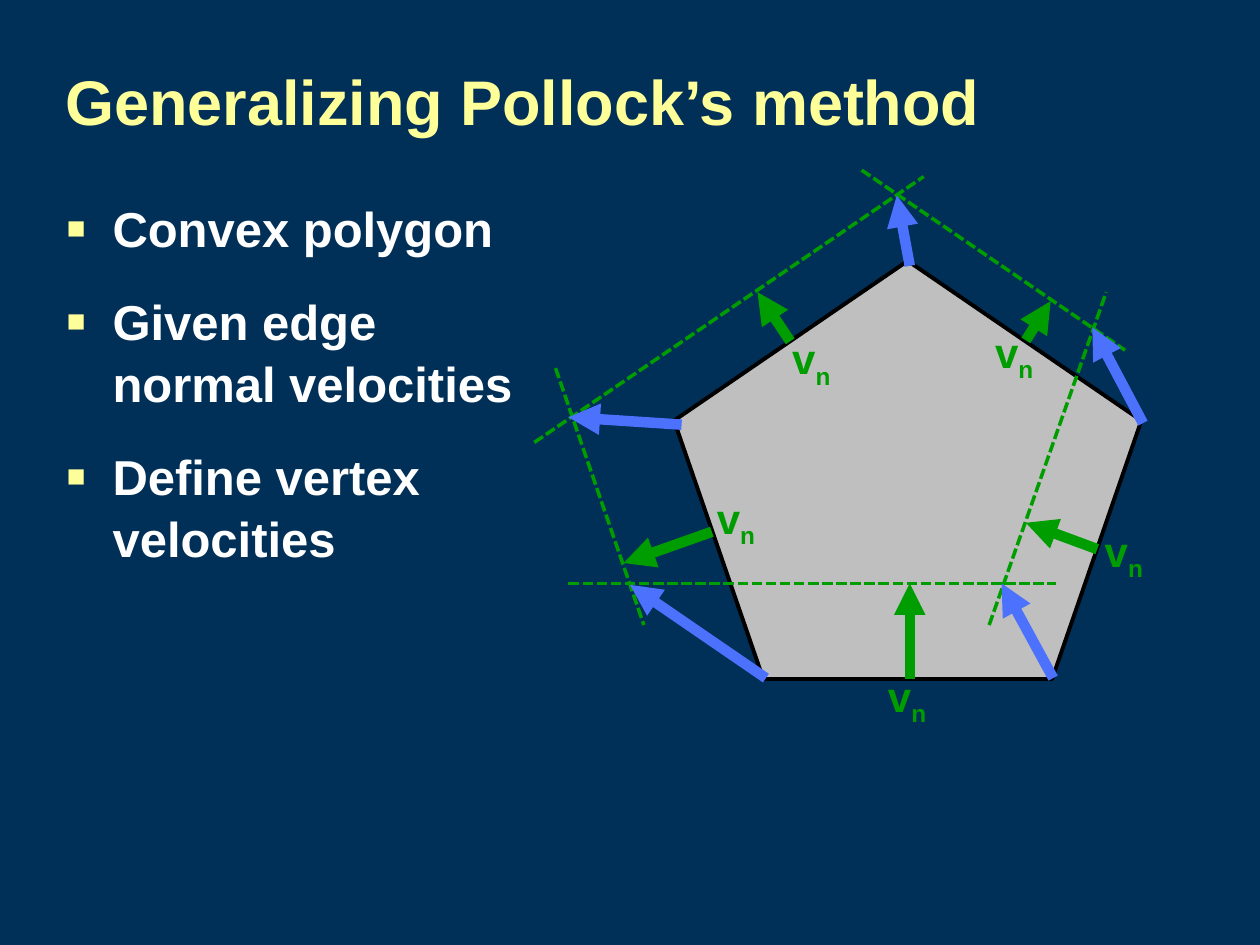
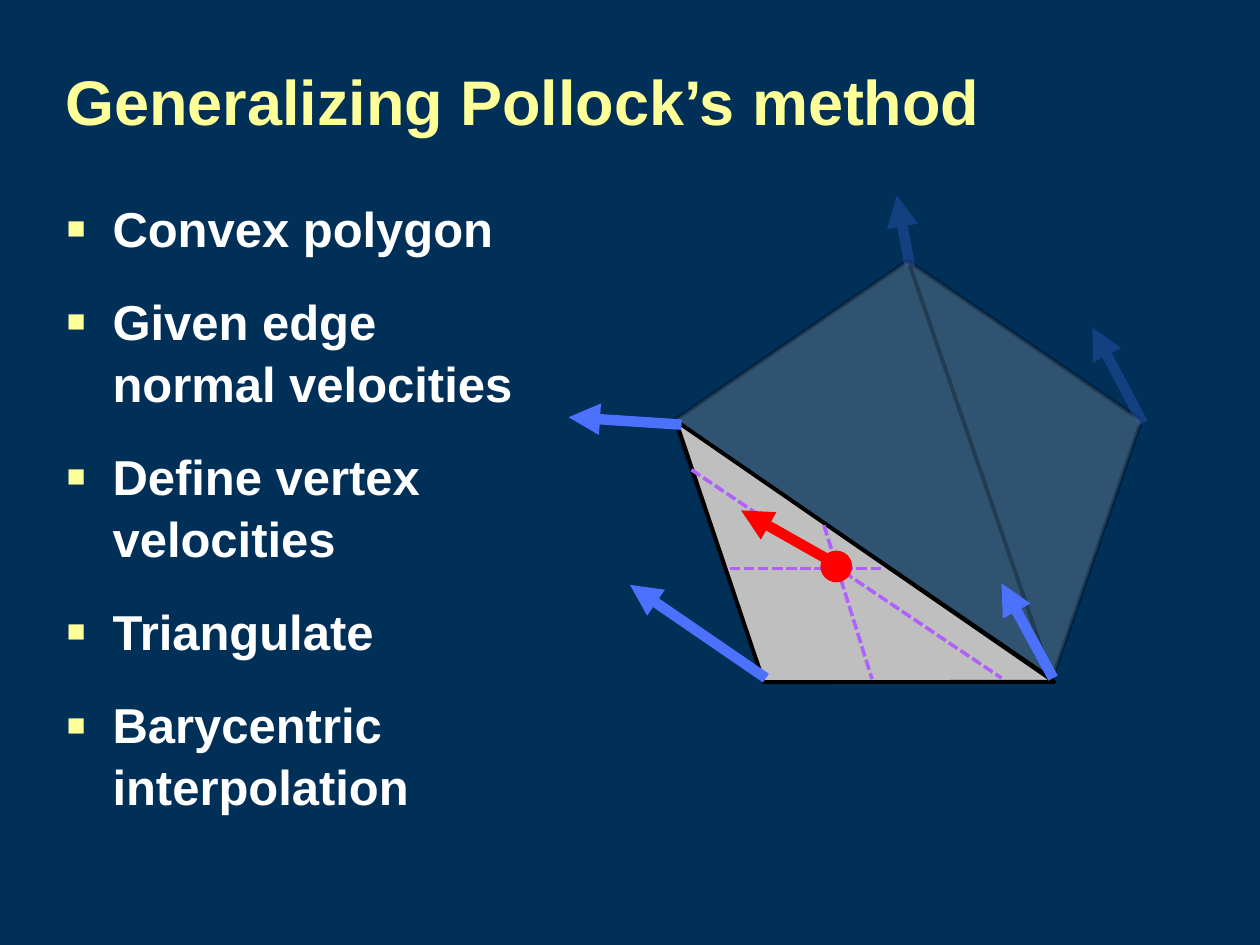
from dataclasses import dataclass

from lxml import etree
from pptx import Presentation
from pptx import util as u
from pptx.dml.color import RGBColor
from pptx.enum import dml, shapes, text
from pptx.oxml import ns


@dataclass(frozen=True)
class Theme:
    font: str = "Arial"
    background: str = "002F57"
    heading: str = "FFFF99"
    body: str = "FFFFFF"
    polygon: str = "BFBFBF"
    outline: str = "000000"
    edge: str = "009D00"
    vertex: str = "4B71FD"
    guide: str = "AE61FB"
    sample: str = "FF0000"
    title_size: float = 36
    body_size: float = 28
    label_size: float = 24
    paragraph_gap: float = 18
    outline_width: float = 2.25
    guide_width: float = 2
    arrow_width: float = 6
    faded: int = 25


def add_xml(parent, tag, **attributes):
    return etree.SubElement(parent, ns.qn(tag), attributes)


class SlideBuilder:
    def __init__(self, deck, theme):
        self.deck = deck
        self.theme = theme
        self.page = None
        self.diagram = None
        background = deck.slide_master.background.fill
        background.solid()
        background.fore_color.rgb = RGBColor.from_string(theme.background)

    def start(self, title, points):
        self.page = self.deck.slides.add_slide(self.deck.slide_layouts[6])
        self.title(title)
        self.bullets(points)
        self.diagram = self.page.shapes.add_group_shape().shapes

    def paint(self, fill, color, opacity):
        fill.solid()
        fill.fore_color.rgb = RGBColor.from_string(color)
        if opacity < 100:
            for node in fill._xPr.iter(ns.qn("a:srgbClr")):
                add_xml(node, "a:alpha", val=str(opacity * 1000))

    def style(self, para, size, color):
        para.font.name = self.theme.font
        para.font.size = u.Pt(size)
        para.font.bold = True
        para.font.color.rgb = RGBColor.from_string(color)

    def text_box(self, parent, left, top, width, height):
        box = parent.add_textbox(u.Cm(left), u.Cm(top), u.Cm(width), u.Cm(height))
        box.text_frame.word_wrap = True
        return box.text_frame

    def title(self, wording):
        frame = self.text_box(self.page.shapes, 1.07, 0.43, 23.06, 3.18)
        frame.vertical_anchor = text.MSO_ANCHOR.MIDDLE
        para = frame.paragraphs[0]
        para.text = wording
        self.style(para, self.theme.title_size, self.theme.heading)

    def bullets(self, points):
        frame = self.text_box(self.page.shapes, 1.07, 3.81, 10.29, 12.47)
        for index, point in enumerate(points):
            para = frame.add_paragraph() if index else frame.paragraphs[0]
            para.text = point
            para.line_spacing = 1.05
            para.space_before = u.Pt(self.theme.paragraph_gap if index else 0)
            properties = para._p.get_or_add_pPr()
            indent = u.Cm(0.95)
            properties.set("marL", str(indent))
            properties.set("indent", str(-indent))
            add_xml(add_xml(properties, "a:buClr"), "a:srgbClr", val=self.theme.heading)
            add_xml(properties, "a:buSzPct", val="125000")
            add_xml(properties, "a:buFont", typeface=self.theme.font)
            add_xml(properties, "a:buChar", char="▪")
            self.style(para, self.theme.body_size, self.theme.body)

    def velocity_label(self, left, top):
        frame = self.text_box(self.diagram, left, top, 1.35, 1.27)
        frame.word_wrap = False
        frame.auto_size = text.MSO_AUTO_SIZE.SHAPE_TO_FIT_TEXT
        para = frame.paragraphs[0]
        self.style(para, self.theme.label_size, self.theme.edge)
        para.add_run().text = "v"
        span = para.add_run()
        span.text = "n"
        span._r.get_or_add_rPr().set("baseline", "-25000")

    def shape(self, kind, place, color, outlined=True, opacity=100, rotation=0):
        shape = self.diagram.add_shape(kind, *(u.Cm(length) for length in place))
        shape.shadow.inherit = False
        shape.rotation = rotation
        self.paint(shape.fill, color, opacity)
        if outlined:
            shape.line.width = u.Pt(self.theme.outline_width)
            self.paint(shape.line.fill, self.theme.outline, opacity)
        else:
            shape.line.fill.background()
        return shape

    def pentagon(self, opacity=100):
        self.shape(shapes.MSO_SHAPE.REGULAR_PENTAGON, (13.59, 5.26, 9.42, 8.43),
                   self.theme.polygon, opacity=opacity)

    def line(self, ends, color, width, opacity=100):
        line = self.diagram.add_connector(
            shapes.MSO_CONNECTOR.STRAIGHT, *(u.Cm(length) for length in ends))
        line.line.width = u.Pt(width)
        self.paint(line.line.fill, color, opacity)
        add_xml(line._element.spPr, "a:effectLst")
        return line

    def edge(self, ends, opacity=100):
        self.line(ends, self.theme.outline, self.theme.outline_width, opacity)

    def dashed(self, ends, color):
        line = self.line(ends, color, self.theme.guide_width)
        line.line.dash_style = dml.MSO_LINE.SQUARE_DOT

    def arrow(self, ends, color, opacity=100):
        arrow = self.line(ends, color, self.theme.arrow_width, opacity)
        add_xml(arrow.line._get_or_add_ln(), "a:tailEnd", type="triangle")


TITLE = "Generalizing Pollock’s method"
POINTS = ["Convex polygon", "Given edge normal velocities", "Define vertex velocities",
          "Triangulate", "Barycentric interpolation"]

VERTEX_VELOCITIES = {
    "left": (13.74, 8.56, 11.46, 8.41),
    "top": (18.34, 5.36, 18.08, 3.94),
    "right": (23.04, 8.53, 22.02, 6.6),
    "bottom left": (15.44, 13.67, 12.7, 11.79),
    "bottom right": (21.23, 13.67, 20.19, 11.76),
}
EDGE_NORMALS = [
    (14.35, 10.72, 12.57, 11.35),
    (18.34, 13.69, 18.34, 11.76),
    (22.12, 11.07, 20.68, 10.54),
    (20.68, 6.86, 21.18, 6.07),
    (15.93, 6.88, 15.27, 5.89),
]
NORMAL_LABELS = [(14.2, 9.8), (15.72, 6.58), (17.65, 13.39), (22.02, 10.46), (19.81, 6.45)]
MOVED_EDGES = [
    (10.77, 8.92, 18.62, 3.56),
    (17.37, 3.43, 22.68, 7.06),
    (19.94, 12.6, 22.3, 5.89),
    (11.2, 7.42, 12.98, 12.6),
    (11.46, 11.76, 21.29, 11.76),
]
BARYCENTRIC_GUIDES = [
    (16.61, 10.59, 17.58, 13.69),
    (14.71, 11.46, 17.78, 11.46),
    (13.94, 9.47, 20.19, 13.67),
]


def velocities_slide(builder):
    theme = builder.theme
    builder.start(TITLE, POINTS[:3])
    builder.pentagon()
    for normal in EDGE_NORMALS:
        builder.arrow(normal, theme.edge)
    for corner in NORMAL_LABELS:
        builder.velocity_label(*corner)
    for moved_edge in MOVED_EDGES:
        builder.dashed(moved_edge, theme.edge)
    for velocity in VERTEX_VELOCITIES.values():
        builder.arrow(velocity, theme.vertex)


def interpolation_slide(builder):
    theme = builder.theme
    builder.start(TITLE, POINTS)
    builder.pentagon(theme.faded)
    builder.arrow(VERTEX_VELOCITIES["right"], theme.vertex, theme.faded)
    builder.edge((18.31, 5.26, 21.21, 13.69), theme.faded)
    builder.edge((13.59, 8.48, 21.21, 13.69))
    builder.arrow(VERTEX_VELOCITIES["top"], theme.vertex, theme.faded)
    triangle = builder.shape(shapes.MSO_SHAPE.ISOSCELES_TRIANGLE, (11.86, 10.82, 9.27, 3.33),
                             theme.polygon, rotation=214.6)
    triangle.adjustments[0] = 0.52
    for guide in BARYCENTRIC_GUIDES:
        builder.dashed(guide, theme.guide)
    builder.shape(shapes.MSO_SHAPE.OVAL, (16.54, 11.1, 0.64, 0.64), theme.sample, outlined=False)
    builder.arrow((16.87, 11.38, 14.94, 10.29), theme.sample)
    for vertex in ("left", "bottom right", "bottom left"):
        builder.arrow(VERTEX_VELOCITIES[vertex], theme.vertex)


def main():
    deck = Presentation()
    deck.slide_width, deck.slide_height = u.Cm(25.4), u.Cm(19.05)
    builder = SlideBuilder(deck, Theme())
    velocities_slide(builder)
    interpolation_slide(builder)
    deck.save("out.pptx")


if __name__ == "__main__":
    main()
